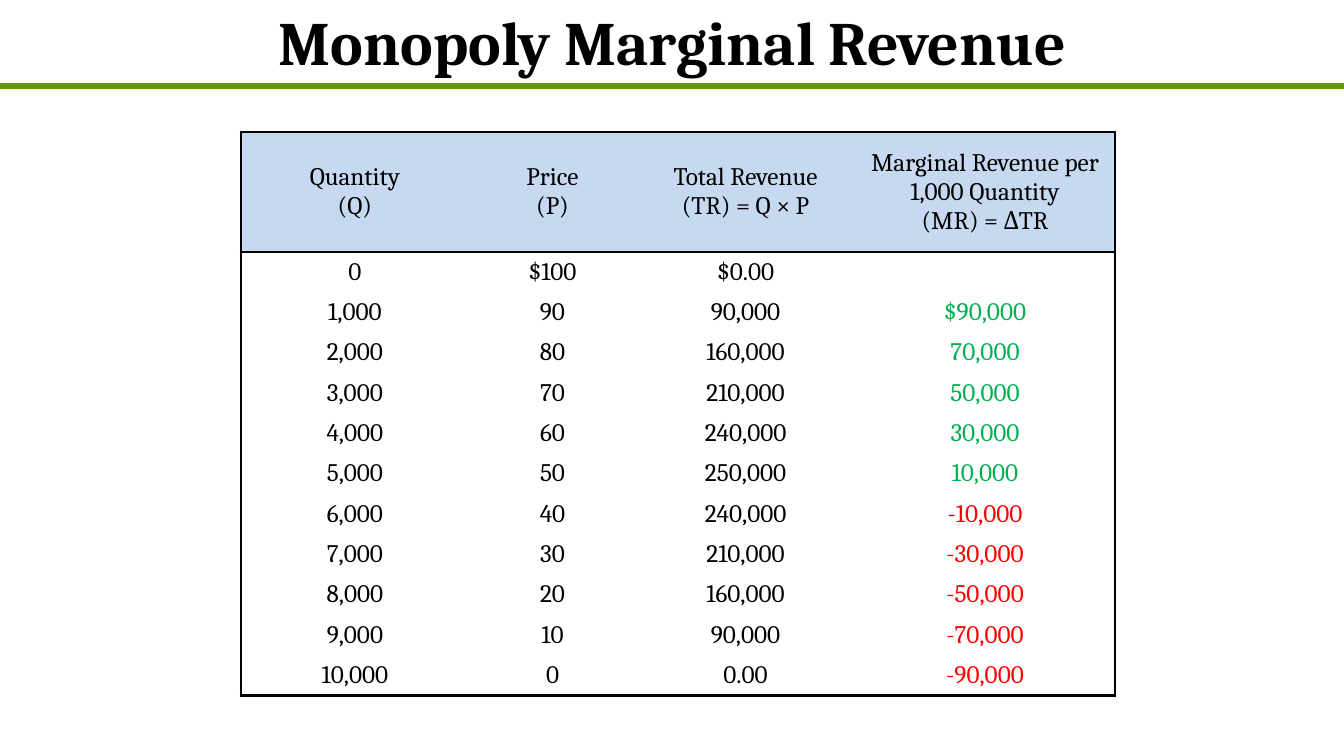
from lxml.etree import SubElement
from pptx import Presentation
from pptx.dml.color import RGBColor
from pptx.enum.text import MSO_ANCHOR, PP_ALIGN
from pptx.oxml.ns import qn
from pptx.util import Inches, Pt

HEADERS = [
    "Quantity\n(Q)",
    "Price\n(P)",
    "Total Revenue\n(TR) = Q × P",
    "Marginal Revenue per 1,000 Quantity\n(MR) = ΔTR",
]
COLUMN_WIDTHS = [2.26, 1.66, 2.17, 2.58]
HEADER_HEIGHT, ROW_HEIGHT = 1.19, 0.4
BLACK, GREEN, RED = "000000", "00B050", "FF0000"


def color(hex_code):
    return RGBColor.from_string(hex_code)


def write_text(frame, text, size=18, font="Cambria", ink=BLACK, bold=False):
    frame.word_wrap = True
    for index, line in enumerate(text.split("\n")):
        paragraph = frame.add_paragraph() if index else frame.paragraphs[0]
        paragraph.alignment = PP_ALIGN.CENTER
        paragraph.font.size = Pt(size)
        if line:
            run = paragraph.add_run()
            run.text = line
            run.font.size = Pt(size)
            run.font.name = font
            run.font.bold = bold
            run.font.color.rgb = color(ink)


def revenue_rows():
    rows = []
    previous_revenue = None
    for step in range(11):
        quantity, price = step * 1000, 100 - step * 10
        revenue = quantity * price // 1000 * 1000
        marginal = 0 if previous_revenue is None else revenue - previous_revenue
        previous_revenue = revenue
        rows.append([
            f"{quantity:,}",
            f"${price}" if step == 0 else str(price),
            f"{revenue:,}" if revenue else "$0.00" if step == 0 else "0.00",
            "" if step == 0 else f"${marginal:,}" if step == 1 else f"{marginal:,}",
        ])
    return rows


class SlideBuilder:
    """Holds the current slide and the style shared by its elements."""

    accent = "669900"
    header_fill = "C6D9F1"
    border_width = Pt(2.25)

    def __init__(self, presentation):
        self.slide = presentation.slides.add_slide(presentation.slide_layouts[6])

    def rule(self, top, width):
        divider = self.slide.shapes.add_connector(
            1, Inches(0), Inches(top), Inches(width), Inches(top))
        divider.line.color.rgb = color(self.accent)
        divider.line.width = Pt(4.5)
        SubElement(divider.element.spPr, qn("a:effectLst"))

    def title(self, text, left, top, width, height):
        heading = self.slide.shapes.add_textbox(
            Inches(left), Inches(top), Inches(width), Inches(height))
        heading.text_frame.vertical_anchor = MSO_ANCHOR.MIDDLE
        write_text(heading.text_frame, text, size=44, bold=True)

    def borders(self, cell, drawn):
        properties = cell._tc.get_or_add_tcPr()
        for side in "LRTB":
            edge = SubElement(properties, qn(f"a:ln{side}"))
            if side in drawn:
                edge.set("w", str(self.border_width))
                fill = SubElement(edge, qn("a:solidFill"))
                SubElement(fill, qn("a:srgbClr"), val=BLACK)
            else:
                SubElement(edge, qn("a:noFill"))

    def table(self, rows, left, top):
        last_row, last_column = len(rows) - 1, len(COLUMN_WIDTHS) - 1
        height = HEADER_HEIGHT + ROW_HEIGHT * last_row
        schedule = self.slide.shapes.add_table(
            len(rows), len(COLUMN_WIDTHS), Inches(left), Inches(top),
            Inches(sum(COLUMN_WIDTHS)), Inches(height)).table
        schedule.horz_banding = False
        for column, width in zip(schedule.columns, COLUMN_WIDTHS):
            column.width = Inches(width)
        for r, values in enumerate(rows):
            schedule.rows[r].height = Inches(ROW_HEIGHT if r else HEADER_HEIGHT)
            for c, value in enumerate(values):
                cell = schedule.cell(r, c)
                cell.vertical_anchor = MSO_ANCHOR.MIDDLE
                cell.margin_left = cell.margin_right = Inches(0.06)
                cell.margin_top = cell.margin_bottom = 0
                drawn = {"L": c == 0, "R": c == last_column,
                         "T": r <= 1, "B": r in (0, last_row)}
                self.borders(cell, [side for side in drawn if drawn[side]])
                if r == 0:
                    cell.fill.solid()
                    cell.fill.fore_color.rgb = color(self.header_fill)
                else:
                    cell.fill.background()
                ink = BLACK
                if r and c == last_column:
                    ink = RED if value.startswith("-") else GREEN
                write_text(cell.text_frame, value, ink=ink)


def main():
    presentation = Presentation()
    presentation.slide_width = Inches(13.33)
    presentation.slide_height = Inches(7.5)
    builder = SlideBuilder(presentation)
    builder.rule(0.85, 13.33)
    builder.title("Monopoly Marginal Revenue", 2.17, 0, 9, 0.82)
    builder.table([HEADERS] + revenue_rows(), 2.39, 1.31)
    presentation.save("out.pptx")


if __name__ == "__main__":
    main()
